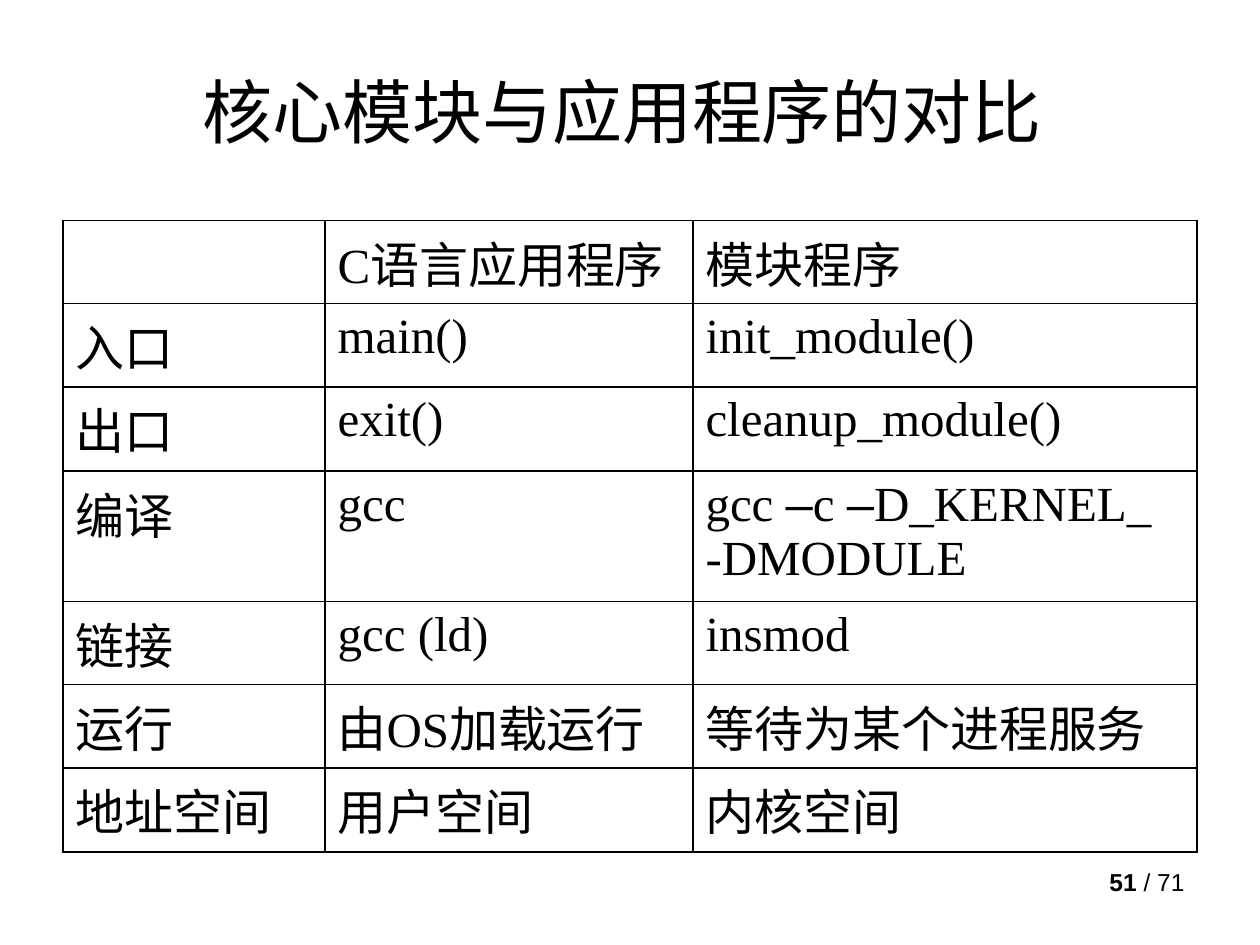
from lxml import etree
from pptx import Presentation
from pptx import util as u
from pptx.dml.color import RGBColor
from pptx.enum import text
from pptx.oxml.ns import qn

COLORS = {"ink": "000000", "border": "000000"}
ALIGN, ANCHOR = text.PP_ALIGN, text.MSO_ANCHOR


def add_span(para, content, font="Arial", size=28, bold=False, color="ink"):
    span = para.add_run()
    span.text = content
    span.font.name = font
    span.font.size = u.Pt(size)
    span.font.bold = bold
    span.font.color.rgb = RGBColor.from_string(COLORS[color])


class Page:
    sans = "Arial"
    serif = "Times New Roman"
    border_width = u.Pt(1)

    def __init__(self, deck):
        self.slide = deck.slides.add_slide(deck.slide_layouts[6])

    def text_box(self, place, spans, align, anchor=ANCHOR.TOP):
        box = self.slide.shapes.add_textbox(*map(u.Inches, place))
        frame = box.text_frame
        frame.word_wrap = True
        frame.vertical_anchor = anchor
        para = frame.paragraphs[0]
        para.alignment = align
        for content, style in spans:
            add_span(para, content, font=self.sans, **style)

    def table(self, place, widths, heights, rows):
        frame = self.slide.shapes.add_table(
            len(rows), len(widths), *map(u.Inches, place))
        table = frame.table
        table.first_row = table.horz_banding = False
        for column, width in zip(table.columns, widths):
            column.width = u.Inches(width)
        for line, height, entries in zip(table.rows, heights, rows):
            line.height = u.Inches(height)
            for cell, content in zip(line.cells, entries):
                self.fill_cell(cell, content)

    def fill_cell(self, cell, content):
        para = cell.text_frame.paragraphs[0]
        before, *after = content.split("–")
        if before:
            add_span(para, before, font=self.serif)
        for piece in after:
            add_span(para, "–", font=self.sans)
            add_span(para, piece, font=self.serif)
        self.cell_borders(cell)
        cell.fill.background()

    def cell_borders(self, cell):
        properties = cell._tc.get_or_add_tcPr()
        for side in ("a:lnL", "a:lnR", "a:lnT", "a:lnB"):
            line = etree.SubElement(
                properties, qn(side), w=str(self.border_width))
            fill = etree.SubElement(line, qn("a:solidFill"))
            etree.SubElement(fill, qn("a:srgbClr"), val=COLORS["border"])


def main():
    deck = Presentation()
    deck.slide_width, deck.slide_height = u.Inches(10), u.Inches(7.5)
    page = Page(deck)
    page.text_box((7.17, 6.83, 2.33, 0.52),
                  [("51 ", {"size": 14, "bold": True}),
                   ("/ 71", {"size": 14})], ALIGN.RIGHT)
    page.text_box((0.5, 0.25, 9, 1.25),
                  [("核心模块与应用程序的对比 ", {"size": 40})],
                  ALIGN.CENTER, ANCHOR.MIDDLE)
    rows = [
        ("", "C语言应用程序", "模块程序"),
        ("入口", "main()", "init_module()"),
        ("出口", "exit()", "cleanup_module()"),
        ("编译", "gcc", "gcc –c –D_KERNEL_ -DMODULE"),
        ("链接", "gcc (ld)", "insmod"),
        ("运行", "由OS加载运行", "等待为某个进程服务"),
        ("地址空间", "用户空间", "内核空间"),
    ]
    heights = [0.66, 0.66, 0.67, 1.03, 0.66, 0.66, 0.67]
    page.table((0.5, 1.75, 9, sum(heights)), [2.08, 2.92, 4], heights, rows)
    deck.save("out.pptx")


if __name__ == "__main__":
    main()
